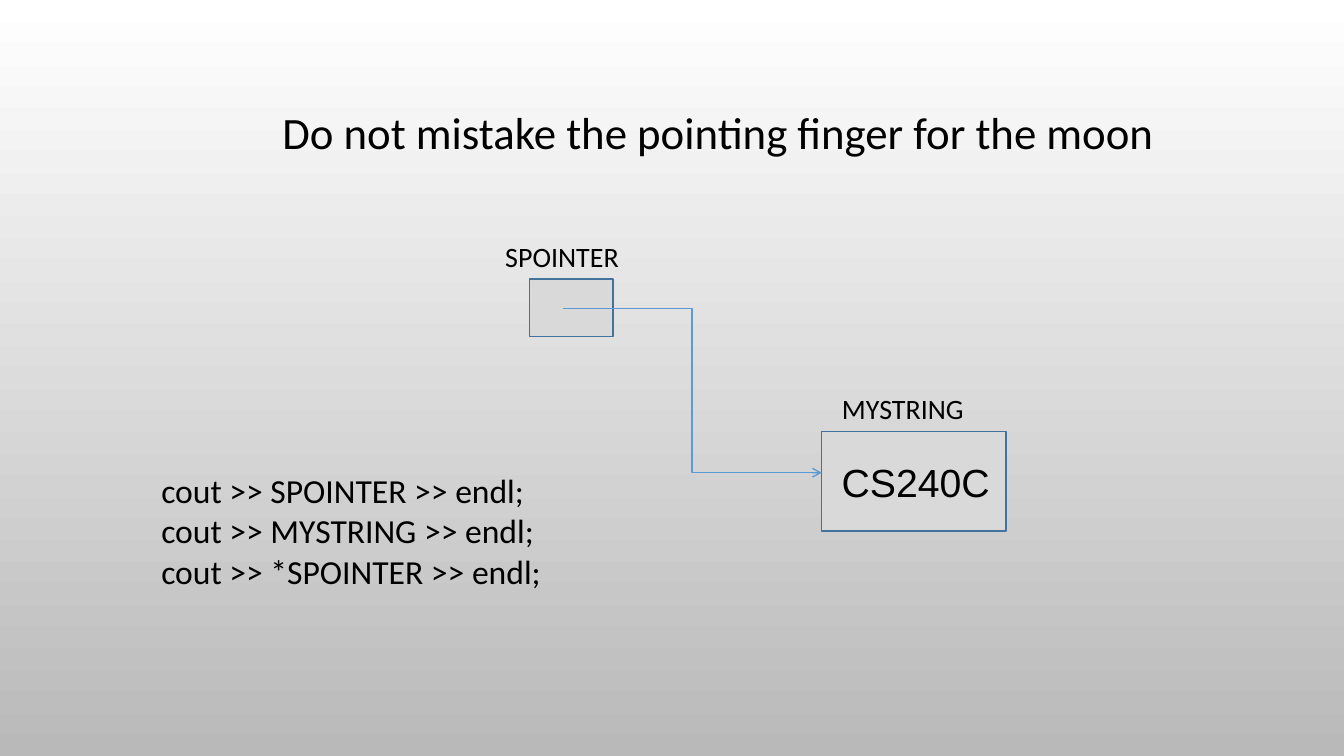
from dataclasses import dataclass

from lxml import etree
from pptx import Presentation
from pptx.dml.color import RGBColor
from pptx.enum.shapes import MSO_CONNECTOR, MSO_SHAPE
from pptx.enum.text import MSO_ANCHOR, MSO_AUTO_SIZE, PP_ALIGN
from pptx.oxml.ns import qn
from pptx.slide import Slide
from pptx.text.text import TextFrame
from pptx.util import Inches, Pt

ELBOW = MSO_CONNECTOR.ELBOW
RECT = MSO_SHAPE.RECTANGLE
LEFT = PP_ALIGN.LEFT
MIDDLE = MSO_ANCHOR.MIDDLE
GROW = MSO_AUTO_SIZE.SHAPE_TO_FIT_TEXT

BLACK = "000000"
GRAY = "D9D9D9"
EDGE = "43729D"
BLUE = "5B9BD5"
SHADES = ("FFFFFF", "B9B9B9")


@dataclass
class Area:
    left: float
    top: float
    width: float
    height: float

    def lengths(self) -> list[int]:
        return [Inches(n) for n in (self.left, self.top, self.width, self.height)]


@dataclass
class Label:
    area: Area
    size: int
    lines: tuple[str, ...]
    wrap: bool = False


@dataclass
class Cell:
    area: Area
    value: str = ""


LABELS = (
    Label(Area(4.92, 2.34, 1.38, 0.43), 20, ("SPOINTER",)),
    Label(Area(2.71, 1, 8.91, 0.64), 32,
          ("Do not mistake the pointing finger for the moon",)),
    Label(Area(1.51, 4.62, 4.91, 1.31), 24,
          ("cout >> SPOINTER >> endl;",
           "cout >> MYSTRING >> endl;",
           "cout >> *SPOINTER >> endl;"), wrap=True),
    Label(Area(8.26, 3.84, 1.44, 0.44), 20, ("MYSTRING",)),
)
CELLS = (
    Cell(Area(5.25, 2.77, 0.83, 0.57)),
    Cell(Area(8.15, 4.28, 1.83, 0.99), " CS240C"),
)


def color(code: str) -> RGBColor:
    return RGBColor.from_string(code)


def write(frame: TextFrame, lines: tuple[str, ...], size: int, font: str) -> None:
    frame.margin_left = frame.margin_right = Inches(0.09)
    frame.margin_top = frame.margin_bottom = Inches(0.04)
    for i, line in enumerate(lines):
        para = frame.paragraphs[0] if i == 0 else frame.add_paragraph()
        para.alignment = LEFT
        run = para.add_run()
        run.text = line
        run.font.size = Pt(size)
        run.font.name = font
        run.font.color.rgb = color(BLACK)


def shade(slide: Slide) -> None:
    """Fill the background from light at the top to dark at the bottom."""
    fill = slide.background.fill
    fill.gradient()
    fill.gradient_angle = 270
    for stop, code in zip(fill.gradient_stops, SHADES):
        stop.color.rgb = color(code)


def add_cell(slide: Slide, cell: Cell) -> None:
    box = slide.shapes.add_shape(RECT, *cell.area.lengths())
    box.shadow.inherit = False
    box.fill.solid()
    box.fill.fore_color.rgb = color(GRAY)
    box.line.color.rgb = color(EDGE)
    box.line.width = Pt(1)
    if cell.value:
        box.text_frame.vertical_anchor = MIDDLE
        write(box.text_frame, (cell.value,), 28, "Arial")


def add_label(slide: Slide, label: Label) -> None:
    frame = slide.shapes.add_textbox(*label.area.lengths()).text_frame
    frame.word_wrap = label.wrap
    frame.auto_size = GROW
    write(frame, label.lines, label.size, "Calibri")


def add_arrow(slide: Slide, start: tuple[float, float], end: tuple[float, float]) -> None:
    ends = [Inches(n) for n in start + end]
    arrow = slide.shapes.add_connector(ELBOW, *ends)
    arrow.line.color.rgb = color(BLUE)
    arrow.line.width = Pt(1)
    props = arrow.element.spPr
    etree.SubElement(props.find(qn("a:ln")), qn("a:tailEnd"), type="arrow")
    etree.SubElement(props, qn("a:effectLst"))


def main() -> None:
    deck = Presentation()
    deck.slide_width = Inches(13.33)
    deck.slide_height = Inches(7.5)
    slide = deck.slides.add_slide(deck.slide_layouts[6])
    shade(slide)
    for cell in CELLS:
        add_cell(slide, cell)
    add_arrow(slide, (5.58, 3.06), (8.15, 4.69))
    for label in LABELS:
        add_label(slide, label)
    deck.save("out.pptx")


if __name__ == "__main__":
    main()
